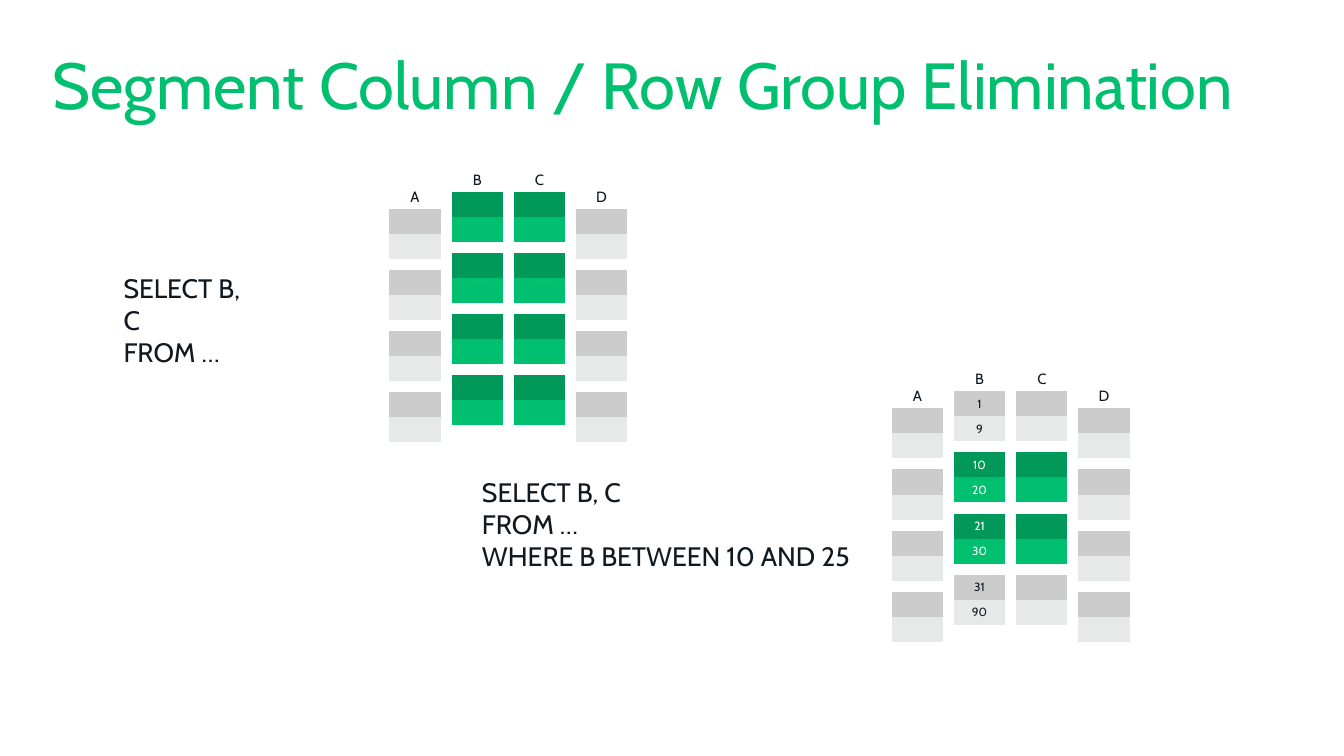
"""Build the slide on segment column and row group elimination."""
from dataclasses import dataclass

from pptx import Presentation
from pptx import util as u
from pptx.dml.color import RGBColor
from pptx.enum import text
from pptx.oxml import ns


@dataclass(frozen=True)
class Theme:
    """Font, type sizes and colours of the slide."""
    font: str = "Cabin"
    title_size: int = 44
    query_size: int = 18
    label_size: int = 10
    value_size: int = 8
    ink: str = "101820"
    accent: str = "00BF6F"
    white: str = "FFFFFF"
    skipped: tuple = ("CCCCCD", "E7E8E8")
    read: tuple = ("009959", "00BF6F")


THEME = Theme()
SLIDE_WIDTH, SLIDE_HEIGHT = 12.6, 7.09
COLUMNS = "ABCD"
ROW_GROUPS = 4
SEGMENT_WIDTH, SEGMENT_HEIGHT = 0.48, 0.47
COLUMN_PITCH = 1.75 / (len(COLUMNS) - 1)
GROUP_PITCH = 1.72 / (ROW_GROUPS - 1)
RAISE = 0.16
LABEL_HEIGHT = 0.27
LABEL_RISE = 0.25
RAISED_COLUMNS = "BC"
NO_STYLE = "{2D5ABB26-0587-4C30-8999-92F81FD0307C}"


def inches(*lengths):
    """Convert lengths in inches to slide units."""
    return [u.Inches(length) for length in lengths]


def format_paragraph(paragraph, size, color, alignment=text.PP_ALIGN.LEFT):
    """Set font, size, colour and alignment of a paragraph."""
    paragraph.alignment = alignment
    paragraph.font.name = THEME.font
    paragraph.font.size = u.Pt(size)
    paragraph.font.color.rgb = RGBColor.from_string(color)


def add_title(slide, words):
    """Fill and place the title placeholder."""
    title = slide.shapes.title
    title.left, title.top, title.width, title.height = inches(0.39, 0.39, 11.81, 0.79)
    frame = title.text_frame
    frame.text = words
    frame.auto_size = text.MSO_AUTO_SIZE.NONE
    frame.vertical_anchor = text.MSO_ANCHOR.MIDDLE
    format_paragraph(frame.paragraphs[0], THEME.title_size, THEME.accent)


def add_text(slide, box, lines, size, alignment=text.PP_ALIGN.LEFT):
    """Add a wrapping text box with one paragraph per line."""
    frame = slide.shapes.add_textbox(*inches(*box)).text_frame
    frame.word_wrap = True
    frame.text = "\n".join(lines)
    for paragraph in frame.paragraphs:
        format_paragraph(paragraph, size, THEME.ink, alignment)


def add_segment(slide, left, top, is_read, values):
    """Add one column segment as a table of its minimum and maximum."""
    box = inches(left, top, SEGMENT_WIDTH, SEGMENT_HEIGHT)
    shape = slide.shapes.add_table(2, 1, *box)
    shape.element.find(".//" + ns.qn("a:tableStyleId")).text = NO_STYLE
    table = shape.table
    table.first_row = table.horz_banding = False
    fills = THEME.read if is_read else THEME.skipped
    ink = THEME.white if is_read else THEME.ink
    for cell, fill, value in zip(table.iter_cells(), fills, values):
        cell.fill.solid()
        cell.fill.fore_color.rgb = RGBColor.from_string(fill)
        cell.margin_left = cell.margin_right = u.Inches(0.05)
        cell.margin_top = cell.margin_bottom = 0
        cell.vertical_anchor = text.MSO_ANCHOR.MIDDLE
        cell.text = value
        format_paragraph(cell.text_frame.paragraphs[0], THEME.value_size, ink,
                         text.PP_ALIGN.CENTER)


def add_column_store(slide, left, top, read_groups, ranges=None):
    """Add labelled columns of segments, raising the selected ones."""
    ranges = ranges or {}
    for index, name in enumerate(COLUMNS):
        is_raised = name in RAISED_COLUMNS
        column_left = left + index * COLUMN_PITCH
        column_top = top - RAISE * is_raised
        for group in range(ROW_GROUPS):
            add_segment(slide, column_left, column_top + group * GROUP_PITCH,
                        is_raised and group in read_groups,
                        ranges.get((name, group), ("", "")))
        label_box = (column_left, column_top - LABEL_RISE, SEGMENT_WIDTH, LABEL_HEIGHT)
        add_text(slide, label_box, [name], THEME.label_size, text.PP_ALIGN.CENTER)


def main():
    """Build and save the slide."""
    presentation = Presentation()
    presentation.slide_width, presentation.slide_height = inches(SLIDE_WIDTH, SLIDE_HEIGHT)
    slide = presentation.slides.add_slide(presentation.slide_layouts[5])
    add_title(slide, "Segment Column / Row Group Elimination")

    query = ["SELECT B, C", "FROM …"]
    add_text(slide, (1.06, 2.5, 1.49, 1.01), query, THEME.query_size)
    add_column_store(slide, 3.65, 1.96, range(ROW_GROUPS))

    filtered_query = query + ["WHERE B BETWEEN 10 AND 25"]
    add_text(slide, (4.42, 4.41, 3.68, 1.01), filtered_query, THEME.query_size)
    bounds = [("1", "9"), ("10", "20"), ("21", "30"), ("31", "90")]
    ranges = {("B", group): pair for group, pair in enumerate(bounds)}
    add_column_store(slide, 8.36, 3.83, (1, 2), ranges)

    presentation.save("out.pptx")


main()
